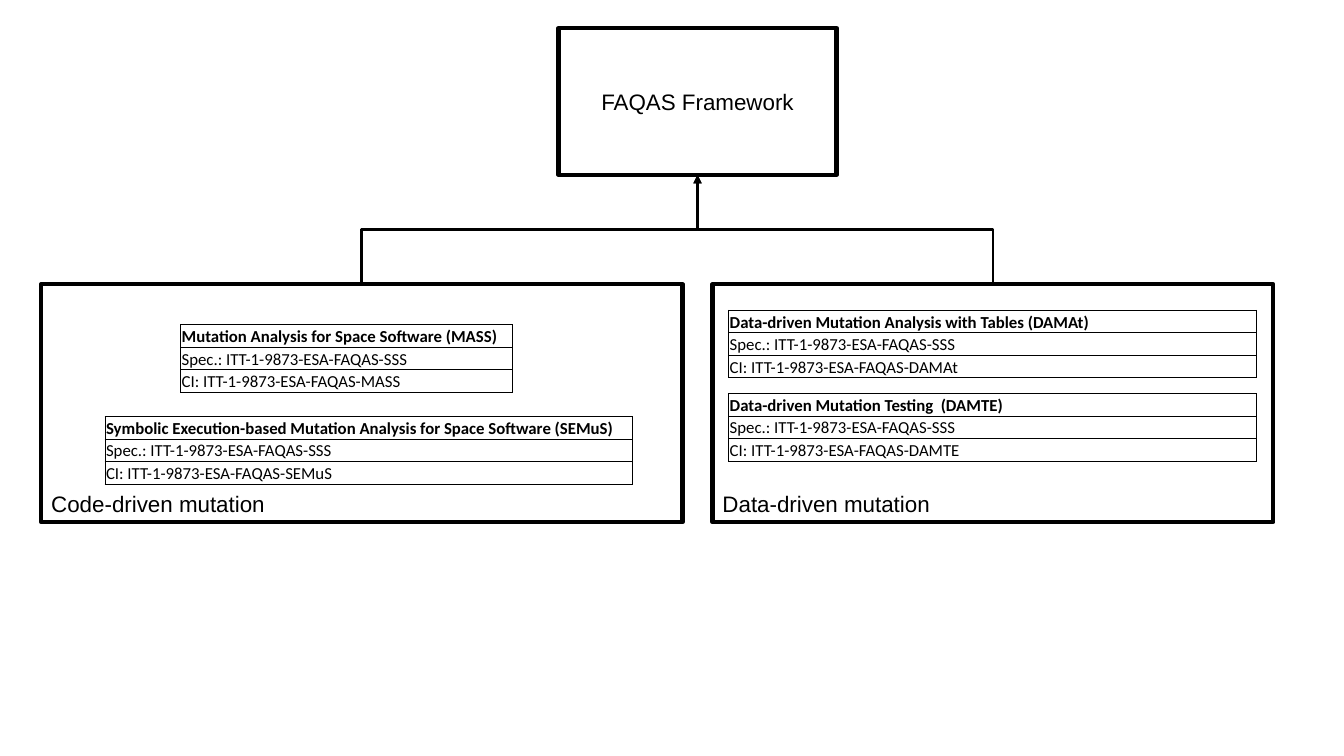
from lxml.etree import SubElement
from pptx import Presentation
from pptx.dml.color import RGBColor
from pptx.enum.shapes import MSO_CONNECTOR as CONN, MSO_SHAPE as SHAPE
from pptx.enum.text import MSO_ANCHOR as ANCHOR, PP_ALIGN as ALIGN
from pptx.oxml import parse_xml
from pptx.oxml.ns import nsdecls, qn
from pptx.util import Pt

COLORS = {"ink": "000000"}
SPEC = "Spec.: ITT-1-9873-ESA-FAQAS-SSS"
CI = "CI: ITT-1-9873-ESA-FAQAS-"


class Diagram:
    def __init__(self, slide):
        self.s = slide
        self.ink = RGBColor.from_string(COLORS["ink"])
        self.row_height = 16.1

    def run(self, p, text, font, size, bold=False):
        r = p.add_run()
        r.text = text
        r.font.name, r.font.size, r.font.bold = font, Pt(size), bold
        r.font.color.rgb = self.ink

    def box(self, x, y, w, h, text, anchor, align):
        sp = self.s.shapes.add_shape(SHAPE.RECTANGLE, Pt(x), Pt(y), Pt(w), Pt(h))
        sp.shadow.inherit = False
        sp.fill.background()
        sp.line.color.rgb = self.ink
        sp.line.width = Pt(3)
        tf = sp.text_frame
        tf.word_wrap = True
        tf.vertical_anchor = anchor
        p = tf.paragraphs[0]
        p.alignment = align
        self.run(p, text, "Arial", 16)
        return sp

    def borders(self, cell):
        tc_pr = cell._tc.get_or_add_tcPr()
        for side in "LRTB":
            tc_pr.append(parse_xml(
                f'<a:ln{side} {nsdecls("a")} w="{Pt(0.5)}"><a:solidFill>'
                f'<a:srgbClr val="{COLORS["ink"]}"/></a:solidFill></a:ln{side}>'))

    def tool_table(self, x, y, w, title, code):
        lines = [title, SPEC, CI + code]
        table = self.s.shapes.add_table(
            len(lines), 1, Pt(x), Pt(y), Pt(w), Pt(self.row_height * len(lines))).table
        table.first_row = table.horz_banding = False
        for i, line in enumerate(lines):
            table.rows[i].height = Pt(self.row_height)
            cell = table.cell(i, 0)
            cell.margin_left = cell.margin_right = cell.margin_top = Pt(0.75)
            cell.margin_bottom = 0
            cell.vertical_anchor = ANCHOR.BOTTOM
            self.borders(cell)
            cell.fill.background()
            self.run(cell.text_frame.paragraphs[0], line, "Calibri", 12, i == 0)

    def elbow_up(self, child, parent):
        c = self.s.shapes.add_connector(CONN.ELBOW, 0, 0, 0, 0)
        c.begin_connect(child, 0)
        c.end_connect(parent, 2)
        rightward = c.end_x > c.begin_x
        # Turn the elbow so that it leaves and arrives vertically
        mid_x, mid_y = c.left + c.width // 2, c.top + c.height // 2
        c.width, c.height = c.height, c.width
        c.left, c.top = mid_x - c.width // 2, mid_y - c.height // 2
        xfrm = c._element.spPr.find(qn("a:xfrm"))
        xfrm.set("rot", str((90 if rightward else 270) * 60000))
        xfrm.set("flipH", "1" if rightward else "0")
        xfrm.set("flipV", "1")
        # Line and arrowhead
        c.line.color.rgb = self.ink
        c.line.width = Pt(2)
        SubElement(c.line._get_or_add_ln(), qn("a:tailEnd"), type="triangle")
        SubElement(c._element.spPr, qn("a:effectLst"))


def main():
    prs = Presentation()
    prs.slide_width, prs.slide_height = Pt(960), Pt(540)
    d = Diagram(prs.slides.add_slide(prs.slide_layouts[6]))

    # Framework and its two families
    framework = d.box(399, 20, 198.5, 105, "FAQAS Framework", ANCHOR.MIDDLE, ALIGN.CENTER)
    families = [d.box(x, 203, w, 170, text, ANCHOR.BOTTOM, ALIGN.LEFT)
                for x, w, text in [(29.5, 458, "Code-driven mutation"),
                                   (509, 400.5, "Data-driven mutation")]]
    for family in families:
        d.elbow_up(family, framework)

    # Tools in each family
    for x, y, w, title, code in [
        (129, 232, 237, "Mutation Analysis for Space Software (MASS)", "MASS"),
        (75, 297.5, 377, "Symbolic Execution-based Mutation Analysis for Space Software (SEMuS)",
         "SEMuS"),
        (520.5, 221.5, 377, "Data-driven Mutation Analysis with Tables (DAMAt)", "DAMAt"),
        (520.5, 281, 377, "Data-driven Mutation Testing  (DAMTE)", "DAMTE"),
    ]:
        d.tool_table(x, y, w, title, code)

    prs.save("out.pptx")


if __name__ == "__main__":
    main()
